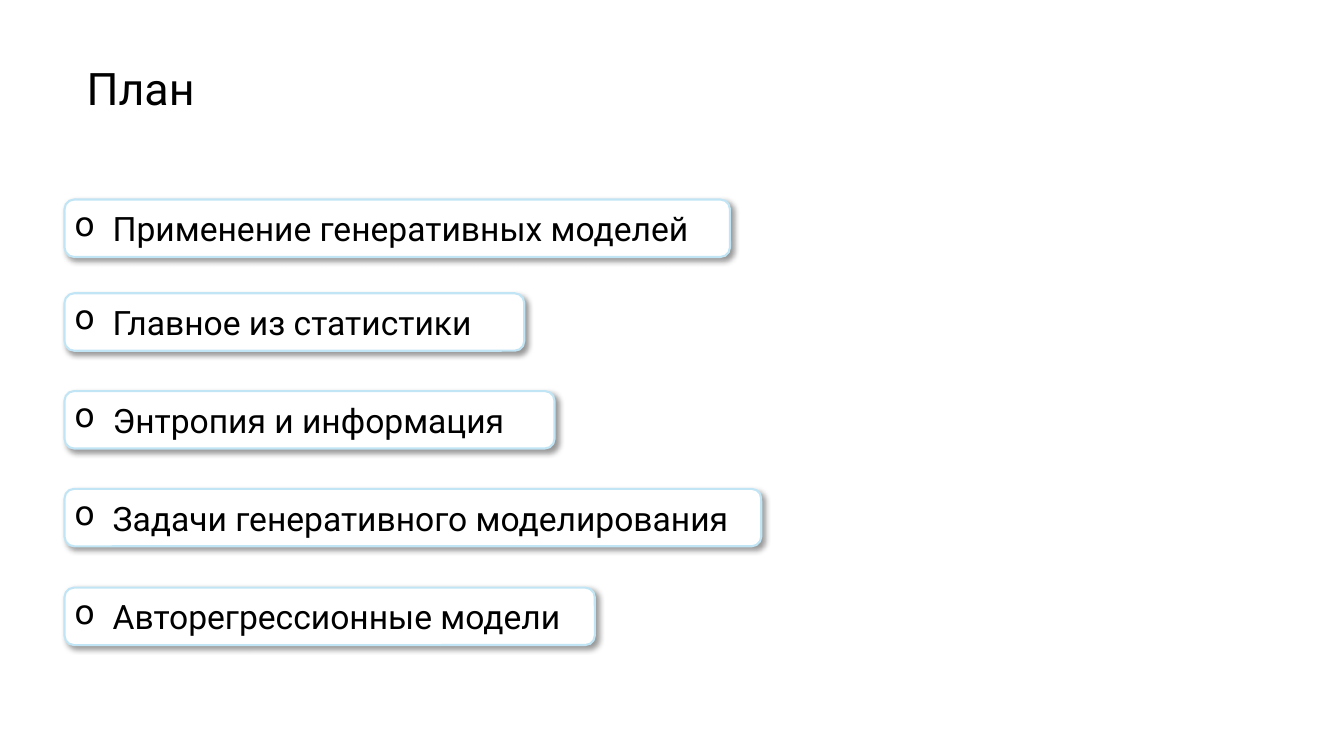
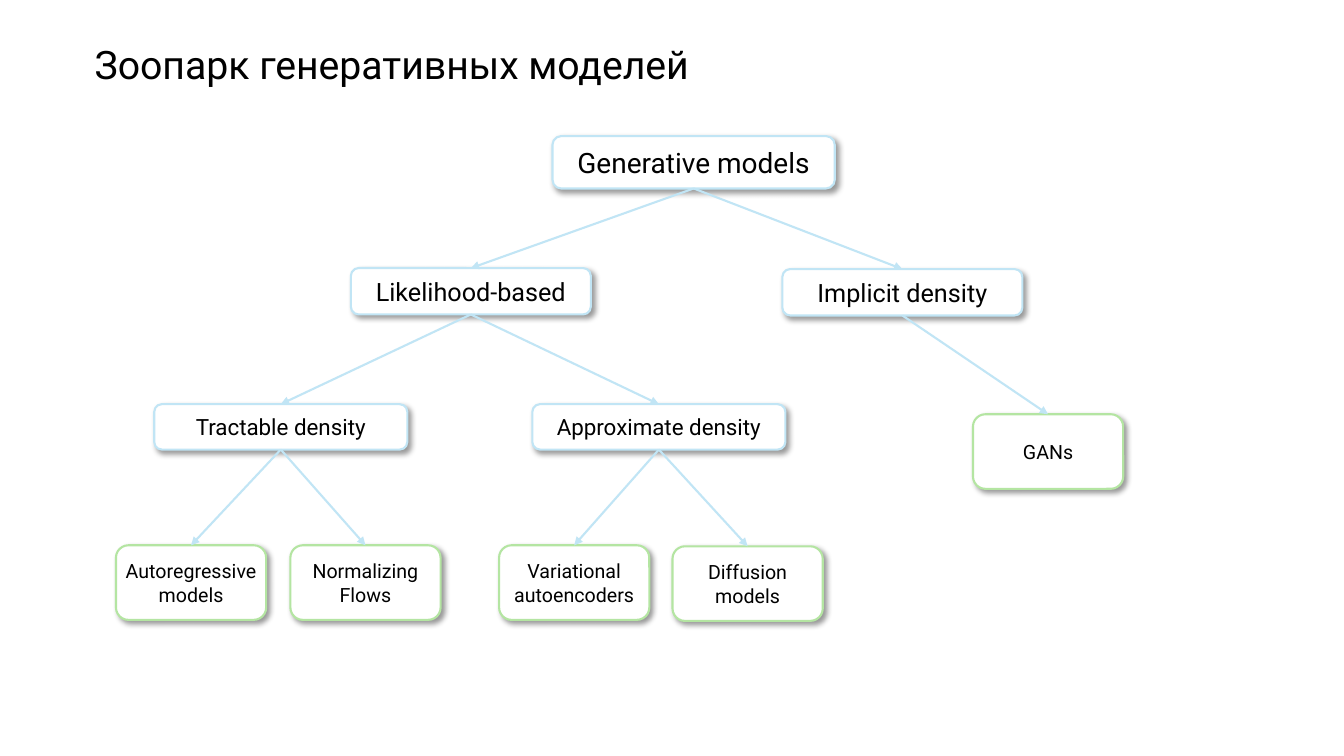
from dataclasses import dataclass

from lxml.etree import SubElement
from pptx import Presentation
from pptx.dml.color import RGBColor
from pptx.enum.shapes import MSO_CONNECTOR as Connector, MSO_SHAPE as Preset
from pptx.enum.text import MSO_ANCHOR as Anchor, PP_ALIGN as Align
from pptx.oxml.ns import qn
from pptx.shapes.autoshape import Shape
from pptx.slide import Slide
from pptx.text.text import TextFrame
from pptx.util import Emu, Pt

EMU_PER_PX = 9144


@dataclass(frozen=True)
class Theme:
    """Colours, font, line and type sizes of the deck."""
    font: str = "Roboto"
    ink: str = "000000"
    paper: str = "FFFFFF"
    blue: str = "C1E5F5"
    green: str = "B4E5A2"
    line: float = 1.5
    plan_title: int = 32
    tree_title: int = 28
    plan_item: int = 24
    root: int = 20
    family: int = 18
    density: int = 16
    model: int = 14


THEME = Theme()


@dataclass(frozen=True)
class Frame:
    """A rectangle in px."""
    left: int
    top: int
    width: int
    height: int

    def emu(self) -> tuple[Emu, Emu, Emu, Emu]:
        """Return the four lengths in EMU."""
        return px(self.left), px(self.top), px(self.width), px(self.height)


@dataclass(frozen=True)
class PlanItem:
    """One topic of the plan."""
    label: str
    top: int
    width: int


@dataclass(frozen=True)
class Level:
    """Size and style shared by the nodes of one tree level."""
    width: int
    height: int
    size: int
    outline: str = THEME.blue


@dataclass(frozen=True)
class Node:
    """One box of the model tree and the label of its parent."""
    label: str
    level: Level
    left: int
    top: int
    parent: str = ""


PLAN_LEFT, PLAN_HEIGHT, PLAN_INDENT = 64, 57, 38
PLAN = (
    PlanItem("Применение генеративных моделей", 198, 660),
    PlanItem("Главное из статистики", 291, 456),
    PlanItem("Энтропия и информация", 388, 486),
    PlanItem("Задачи генеративного моделирования", 485, 691),
    PlanItem("Авторегрессионные модели", 583, 526),
)

ROOT = Level(280, 52, THEME.root)
FAMILY = Level(238, 46, THEME.family)
DENSITY = Level(251, 45, THEME.density)
MODEL = Level(149, 74, THEME.model, THEME.green)
TREE = (
    Node("Generative models", ROOT, 548, 135),
    Node("Likelihood-based", FAMILY, 348, 266, "Generative models"),
    Node("Implicit density", FAMILY, 776, 267, "Generative models"),
    Node("Tractable density", DENSITY, 153, 401, "Likelihood-based"),
    Node("Approximate density", DENSITY, 528, 401, "Likelihood-based"),
    Node("Autoregressive models", MODEL, 115, 541, "Tractable density"),
    Node("Normalizing Flows", MODEL, 288, 541, "Tractable density"),
    Node("Variational autoencoders", MODEL, 495, 541, "Approximate density"),
    Node("Diffusion\nmodels", MODEL, 667, 542, "Approximate density"),
    Node("GANs", MODEL, 965, 411, "Implicit density"),
)
BOTTOM_SITE, TOP_SITE = 2, 0


def px(length: int) -> Emu:
    """Turn px into EMU."""
    return Emu(length * EMU_PER_PX)


def rgb(colour: str) -> RGBColor:
    """Turn a hex string into a colour."""
    return RGBColor.from_string(colour)


def write(text_frame: TextFrame, label: str, size: int, align: Align,
          bullet: str = "") -> None:
    """Write the label, one paragraph a line, with an optional bullet."""
    text_frame.word_wrap = True
    for index, line in enumerate(label.split("\n")):
        paragraph = text_frame.add_paragraph() if index else text_frame.paragraphs[0]
        paragraph.alignment = align
        if bullet:
            properties = paragraph._p.get_or_add_pPr()
            properties.set("marL", str(px(PLAN_INDENT)))
            properties.set("indent", str(px(-PLAN_INDENT)))
            SubElement(properties, qn("a:buChar"), char=bullet)
        run = paragraph.add_run()
        run.text = line
        run.font.name = THEME.font
        run.font.size = Pt(size)
        run.font.color.rgb = rgb(THEME.ink)


def add_title(slide: Slide, label: str, frame: Frame, size: int, align: Align) -> None:
    """Add the slide title."""
    title = slide.shapes.add_textbox(*frame.emu())
    write(title.text_frame, label, size, align)


def cast_shadow(card: Shape) -> None:
    """Give the card a soft shadow to the lower right."""
    card.shadow.inherit = False
    effects = card._element.spPr.find(qn("a:effectLst"))
    shadow = SubElement(effects, qn("a:outerShdw"), blurRad=str(Pt(4)), dist=str(Pt(3)),
                        dir="2700000", algn="tl", rotWithShape="0")
    tint = SubElement(shadow, qn("a:srgbClr"), val=THEME.ink)
    SubElement(tint, qn("a:alpha"), val="40000")


def add_card(slide: Slide, frame: Frame, outline: str, inset: int) -> Shape:
    """Add an empty rounded card with a shadow."""
    card = slide.shapes.add_shape(Preset.ROUNDED_RECTANGLE, *frame.emu())
    card.fill.solid()
    card.fill.fore_color.rgb = rgb(THEME.paper)
    card.line.color.rgb = rgb(outline)
    card.line.width = Pt(THEME.line)
    cast_shadow(card)
    text_frame = card.text_frame
    text_frame.vertical_anchor = Anchor.MIDDLE
    text_frame.margin_left = text_frame.margin_right = px(inset)
    text_frame.margin_top = text_frame.margin_bottom = px(0)
    return card


def add_branch(slide: Slide, parent: Shape, child: Shape) -> None:
    """Join the parent to the child with an arrow."""
    branch = slide.shapes.add_connector(Connector.STRAIGHT, 0, 0, 0, 0)
    branch.begin_connect(parent, BOTTOM_SITE)
    branch.end_connect(child, TOP_SITE)
    branch.line.color.rgb = rgb(THEME.blue)
    branch.line.width = Pt(THEME.line)
    SubElement(branch.line._get_or_add_ln(), qn("a:tailEnd"), type="triangle")
    SubElement(branch._element.spPr, qn("a:effectLst"))


def build_plan(slide: Slide) -> None:
    """Draw the list of topics."""
    add_title(slide, "План", Frame(47, 55, 185, 64), THEME.plan_title, Align.CENTER)
    for item in PLAN:
        frame = Frame(PLAN_LEFT, item.top, item.width, PLAN_HEIGHT)
        card = add_card(slide, frame, THEME.blue, 7)
        write(card.text_frame, item.label, THEME.plan_item, Align.LEFT, "o")


def build_tree(slide: Slide) -> None:
    """Draw the tree of generative models."""
    add_title(slide, "Зоопарк генеративных моделей", Frame(84, 35, 876, 57),
              THEME.tree_title, Align.LEFT)
    cards: dict[str, Shape] = {}
    for node in TREE:
        level = node.level
        frame = Frame(node.left, node.top, level.width, level.height)
        card = add_card(slide, frame, level.outline, 2)
        write(card.text_frame, node.label, level.size, Align.CENTER)
        cards[node.label] = card
        if node.parent:
            add_branch(slide, cards[node.parent], card)


def main() -> None:
    """Build and save the deck."""
    deck = Presentation()
    deck.slide_width, deck.slide_height = px(1333), px(750)
    blank = deck.slide_layouts[6]
    for build in (build_plan, build_tree):
        build(deck.slides.add_slide(blank))
    deck.save("out.pptx")


if __name__ == "__main__":
    main()
